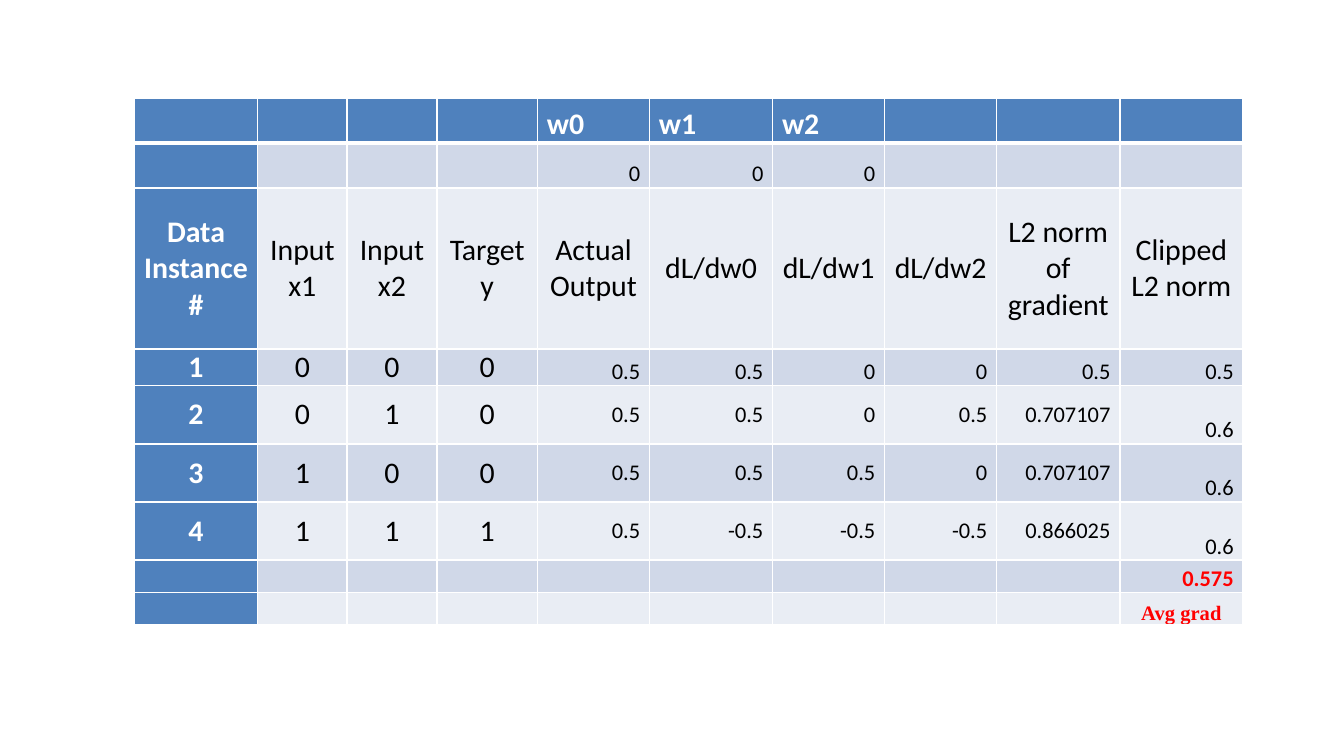
"""Build a slide with a table of per-instance gradients and clipped norms."""
from typing import NamedTuple

from lxml.etree import SubElement
from pptx import Presentation
from pptx.dml.color import RGBColor as RGB
from pptx.enum.text import MSO_ANCHOR as ANCHOR, PP_ALIGN as ALIGN
from pptx.oxml.ns import qn
from pptx.util import Inches, Pt

COLORS = {
    "header": "4F81BD", "odd": "D0D8E8", "even": "E9EDF4",
    "white": "FFFFFF", "black": "000000", "red": "FF0000",
}
SLIDE_WIDTH = 10
SLIDE_HEIGHT = SLIDE_WIDTH * 9 / 16
UNIT = 1 / 12
COLUMN_SPANS = (11, 8, 8, 9, 10, 11, 10, 10, 11, 11)
LEFT, TOP = SLIDE_WIDTH * 0.1, SLIDE_HEIGHT * 0.13


class Style(NamedTuple):
    size: int
    color: str
    bold: bool
    align: ALIGN
    anchor: ANCHOR
    font: str = "Calibri"


class Row(NamedTuple):
    span: float
    styles: str
    texts: tuple[str, ...]


STYLES = {
    "w": Style(16, "white", True, ALIGN.LEFT, ANCHOR.BOTTOM),
    "h": Style(16, "white", True, ALIGN.CENTER, ANCHOR.MIDDLE),
    "c": Style(16, "black", False, ALIGN.CENTER, ANCHOR.MIDDLE),
    "n": Style(12, "black", False, ALIGN.RIGHT, ANCHOR.MIDDLE),
    "b": Style(12, "black", False, ALIGN.RIGHT, ANCHOR.BOTTOM),
    "r": Style(12, "red", True, ALIGN.RIGHT, ANCHOR.BOTTOM),
    "a": Style(11, "red", True, ALIGN.CENTER, ANCHOR.BOTTOM, "Times New Roman"),
}
BLANK = ("",)
ROWS = (
    Row(4, "w" * 10, BLANK * 4 + ("w0", "w1", "w2") + BLANK * 3),
    Row(4, "b" * 10, BLANK * 4 + ("0",) * 3 + BLANK * 3),
    Row(14.4, "h" + "c" * 9, (
        "Data Instance #", "Input x1", "Input x2", "Target y", "Actual Output",
        "dL/dw0", "dL/dw1", "dL/dw2", "L2 norm of gradient", "Clipped L2 norm")),
    Row(3.2, "hcccbbbbbb", ("1", "0", "0", "0", "0.5", "0.5", "0", "0", "0.5", "0.5")),
    Row(5.2, "hcccnnnnnb", ("2", "0", "1", "0", "0.5", "0.5", "0", "0.5", "0.707107", "0.6")),
    Row(5.2, "hcccnnnnnb", ("3", "1", "0", "0", "0.5", "0.5", "0.5", "0", "0.707107", "0.6")),
    Row(5.2, "hcccnnnnnb", ("4", "1", "1", "1", "0.5", "-0.5", "-0.5", "-0.5", "0.866025", "0.6")),
    Row(2.9, "b" * 9 + "r", BLANK * 9 + ("0.575",)),
    Row(2.9, "b" * 9 + "a", BLANK * 9 + ("Avg grad",)),
)


def add_borders(cell, bottom: float) -> None:
    """Give a cell white borders, with its own width at the bottom."""
    tc_pr = cell._tc.get_or_add_tcPr()
    for side, width in (("L", 1), ("R", 1), ("T", 1), ("B", bottom)):
        line = SubElement(tc_pr, qn(f"a:ln{side}"), w=str(Pt(width)))
        fill = SubElement(line, qn("a:solidFill"))
        SubElement(fill, qn("a:srgbClr"), val=COLORS["white"])


def fill_cell(cell, text: str, style: Style, fill: str) -> None:
    """Write one cell's text and format it."""
    cell.fill.solid()
    cell.fill.fore_color.rgb = RGB.from_string(COLORS[fill])
    cell.margin_left = cell.margin_right = Inches(0.07)
    cell.margin_top = cell.margin_bottom = 0
    cell.vertical_anchor = style.anchor
    p = cell.text_frame.paragraphs[0]
    p.text = text
    p.alignment = style.align
    p.font.name = style.font
    p.font.size = Pt(style.size)
    p.font.bold = style.bold
    p.font.color.rgb = RGB.from_string(COLORS[style.color])


def add_gradient_table(slide) -> None:
    """Add the table with its header row, header column and banded rows."""
    width = sum(COLUMN_SPANS) * UNIT
    height = sum(row.span for row in ROWS) * UNIT
    table = slide.shapes.add_table(
        len(ROWS), len(COLUMN_SPANS),
        Inches(LEFT), Inches(TOP), Inches(width), Inches(height)).table
    table.first_col = True
    for column, span in zip(table.columns, COLUMN_SPANS):
        column.width = Inches(span * UNIT)
    for i, row in enumerate(ROWS):
        table.rows[i].height = Inches(row.span * UNIT)
        for j, (text, key) in enumerate(zip(row.texts, row.styles)):
            fill = "header" if i == 0 or j == 0 else "odd" if i % 2 else "even"
            cell = table.cell(i, j)
            add_borders(cell, 1 if i else 3)
            fill_cell(cell, text, STYLES[key], fill)


def main() -> None:
    """Create the presentation and save it."""
    prs = Presentation()
    prs.slide_width, prs.slide_height = Inches(SLIDE_WIDTH), Inches(SLIDE_HEIGHT)
    add_gradient_table(prs.slides.add_slide(prs.slide_layouts[6]))
    prs.save("out.pptx")


if __name__ == "__main__":
    main()
